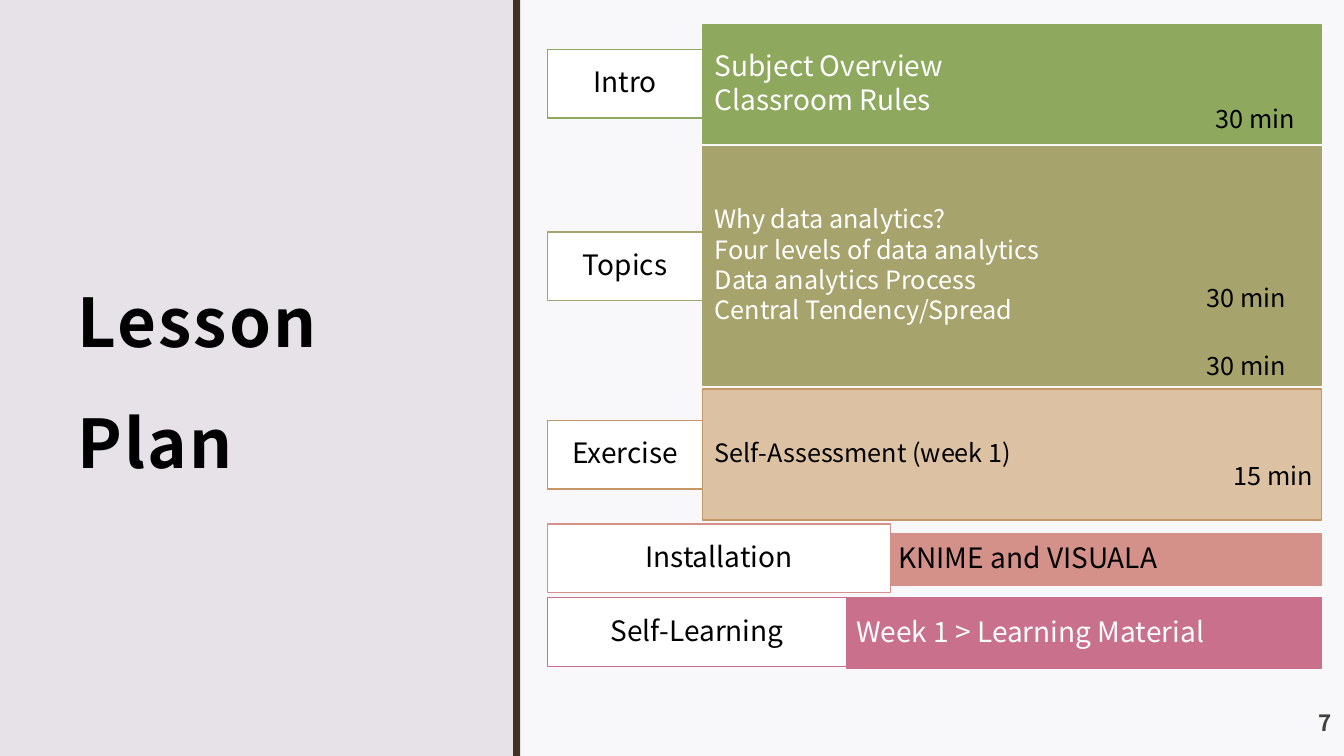
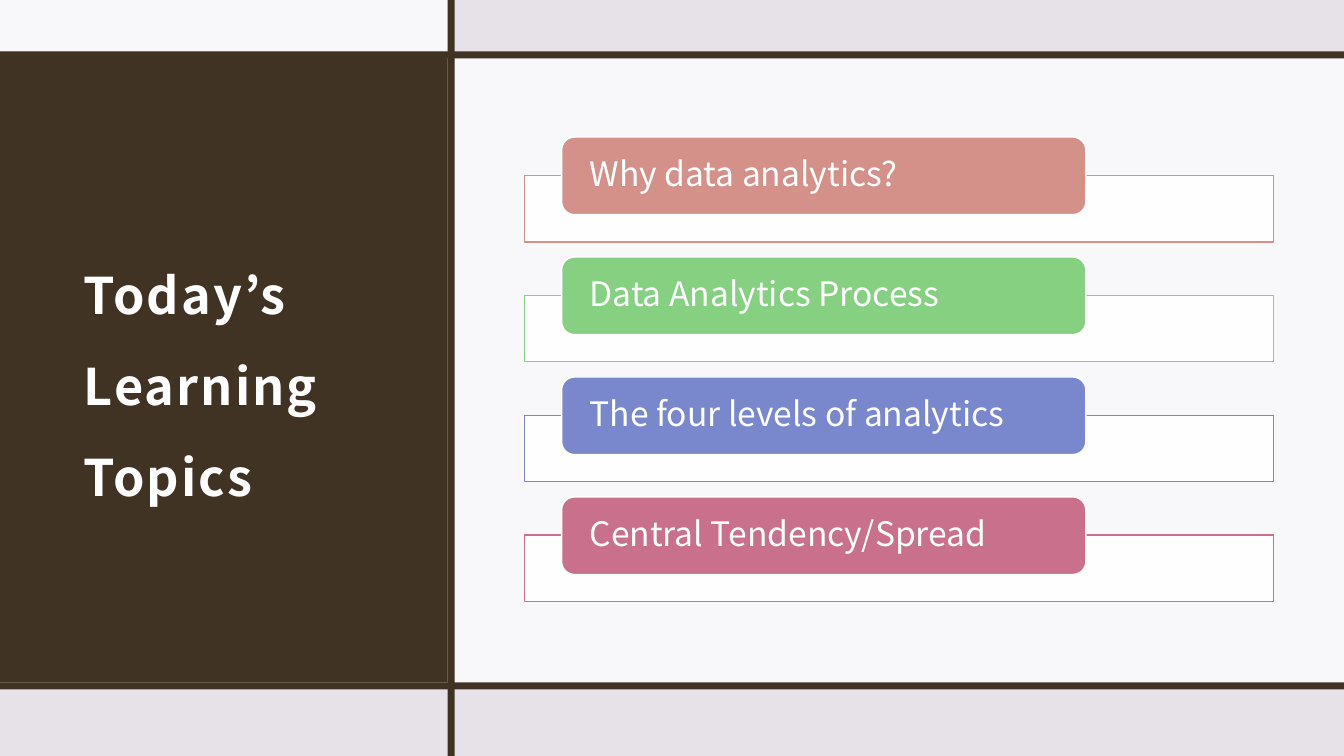
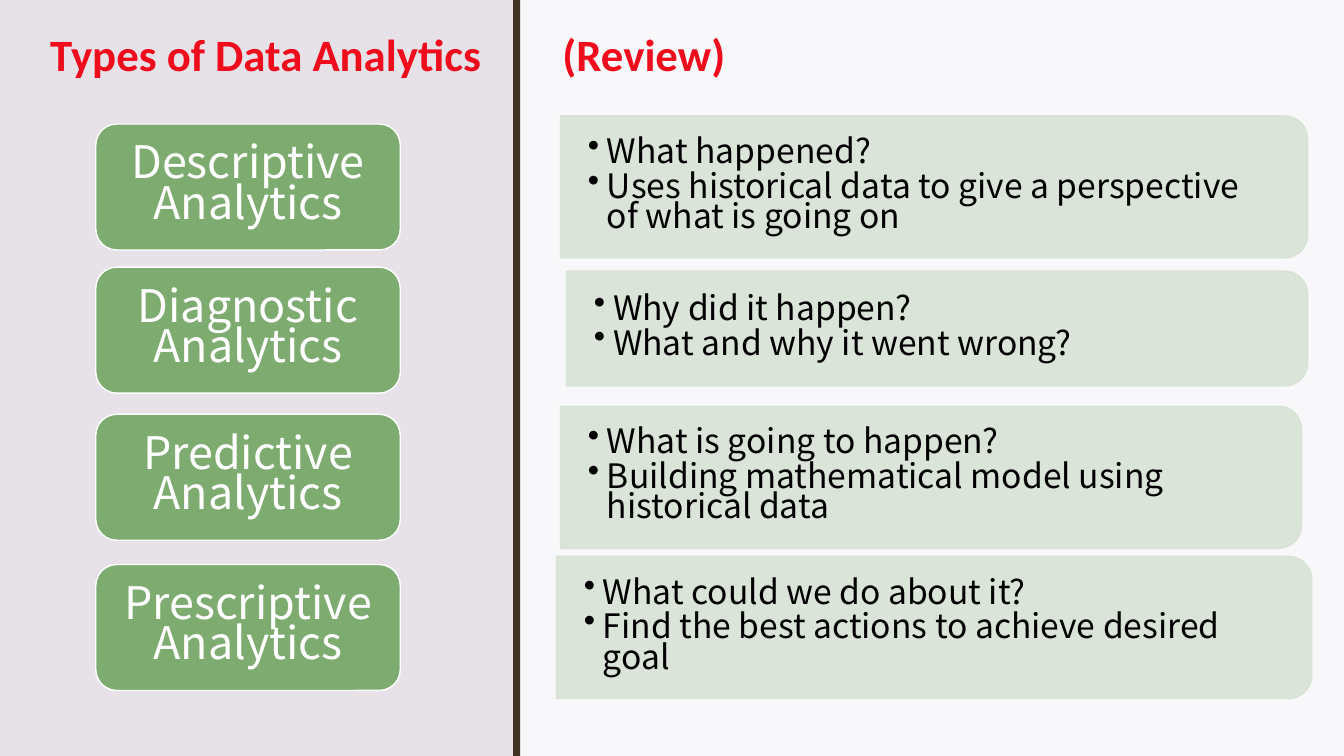
import math
from dataclasses import dataclass

import pptx
import pptx.dml.color
import pptx.enum.shapes
import pptx.enum.text
import pptx.oxml.ns
import pptx.util
from lxml import etree

Inches = pptx.util.Inches
Pt = pptx.util.Pt
Preset = pptx.enum.shapes.MSO_SHAPE
Align = pptx.enum.text.PP_ALIGN
Anchor = pptx.enum.text.MSO_ANCHOR
qn = pptx.oxml.ns.qn


@dataclass(frozen=True)
class Theme:
    """Colours, fonts and type sizes of the deck."""

    font: str = "Noto Sans CJK JP"
    heading_font: str = "Calibri"
    backdrop: str = "E7E2E8"
    brown: str = "413324"
    white: str = "FFFFFF"
    black: str = "000000"
    gray: str = "404040"
    red: str = "EF0C1D"
    green: str = "8EA95E"
    olive: str = "A7A36D"
    tan: str = "C59766"
    pale_tan: str = "DCC1A3"
    salmon: str = "D3918A"
    rose: str = "C9708C"
    mint: str = "85D081"
    blue: str = "7988CC"
    leaf: str = "7EAC70"
    pale_leaf: str = "D8E3D5"
    display: int = 48
    title: int = 36
    heading: int = 32
    large: int = 24
    body: int = 20
    small: int = 18
    page: int = 16


class Deck:
    """Draws styled elements on the current slide."""

    def __init__(self, theme):
        """Create an empty widescreen presentation."""
        self.theme = theme
        self.presentation = pptx.Presentation()
        self.presentation.slide_width = Inches(13.33)
        self.presentation.slide_height = Inches(7.5)
        self.slide = None

    def new_slide(self, split=True):
        """Add a slide, with the two-part backdrop if split is set."""
        self.slide = self.presentation.slides.add_slide(self.presentation.slide_layouts[6])
        fill = self.slide.background.fill
        fill.solid()
        fill.fore_color.rgb = pptx.dml.color.RGBColor.from_string(self.theme.backdrop)
        if split:
            self.box((5.16, 0, 8.17, 7.5), self.theme.white, alpha=75)
            self.box((5.09, 0, 0.07, 7.5), self.theme.brown)

    def paint(self, shape, fill, line=None, alpha=100):
        """Set fill, outline and opacity of a shape."""
        shape.shadow.inherit = False
        shape.fill.solid()
        shape.fill.fore_color.rgb = pptx.dml.color.RGBColor.from_string(fill)
        if alpha < 100:
            color = shape.element.spPr.find(qn("a:solidFill"))[0]
            etree.SubElement(color, qn("a:alpha"), val=str(alpha * 1000))
        if line:
            shape.line.color.rgb = pptx.dml.color.RGBColor.from_string(line)
            shape.line.width = Pt(1)
        else:
            shape.line.fill.background()
        return shape

    def box(self, area, fill, line=None, alpha=100, preset=Preset.RECTANGLE):
        """Draw a preset shape."""
        shape = self.slide.shapes.add_shape(preset, *map(Inches, area))
        return self.paint(shape, fill, line, alpha)

    def tab_box(self, area, fill, radius=0.23):
        """Draw a box whose right corners are rounded."""
        left, top, width, height = area
        right, bottom = left + width, top + height
        angles = [math.radians(step * 9) for step in range(11)]
        upper = [(right - radius + radius * math.sin(a), top + radius - radius * math.cos(a)) for a in angles]
        lower = [(x, top + bottom - y) for x, y in reversed(upper)]
        builder = self.slide.shapes.build_freeform(Inches(left), Inches(top))
        points = upper + lower + [(left, bottom)]
        builder.add_line_segments([(Inches(x), Inches(y)) for x, y in points], close=True)
        return self.paint(builder.convert_to_shape(), fill, fill, 90)

    def fill_text(self, shape, lines, size, color, insets=(0.1, 0.05, 0.1, 0.05), align=Align.LEFT,
                  anchor=Anchor.MIDDLE, spacing=0.9, after=0, bold=False, tracking=0,
                  font=None, bullet=False, tab=None):
        """Fill a shape with formatted paragraphs."""
        frame = shape.text_frame
        frame.word_wrap = True
        frame.vertical_anchor = anchor
        frame.margin_left, frame.margin_top, frame.margin_right, frame.margin_bottom = map(Inches, insets)
        frame.text = "\n".join(lines)
        for paragraph in frame.paragraphs:
            paragraph.alignment = align
            paragraph.line_spacing = spacing
            paragraph.space_after = Pt(after)
            properties = paragraph._p.get_or_add_pPr()
            if bullet:
                properties.set("marL", str(Inches(0.19)))
                properties.set("indent", str(-Inches(0.19)))
                etree.SubElement(properties, qn("a:buChar"), char="•")
            if tab:
                stops = etree.SubElement(properties, qn("a:tabLst"))
                etree.SubElement(stops, qn("a:tab"), pos=str(Inches(tab)), algn="l")
            for run in paragraph.runs:
                run.font.name = font or self.theme.font
                run.font.size = Pt(size)
                run.font.bold = bold
                run.font.color.rgb = pptx.dml.color.RGBColor.from_string(color)
                if tracking:
                    run._r.get_or_add_rPr().set("spc", str(int(tracking * 100)))

    def text(self, area, line, size, color, **style):
        """Add a text box with one paragraph."""
        shape = self.slide.shapes.add_textbox(*map(Inches, area))
        self.fill_text(shape, [line], size, color, **style)

    def title(self, area, line, size, color):
        """Add a widely spaced bold title."""
        self.text(area, line, size, color, insets=(0.12, 0.12, 0.12, 0.1),
                  spacing=1.5, bold=True, tracking=1.5)

    def plan_row(self, label_area, label, bar_area, lines, size, color, fill, line, inset):
        """Draw a plan bar and the label at its left."""
        bar = self.box(bar_area, fill, line)
        self.fill_text(bar, lines, size, color, insets=(inset, 0.17, inset, 0.17), after=size / 8)
        tag = self.box(label_area, self.theme.white, line)
        self.fill_text(tag, [label], self.theme.body, self.theme.black,
                       insets=(0.07, 0.07, 0.07, 0.07), align=Align.CENTER, after=2.5)

    def topic(self, top, label, color):
        """Draw a topic tab over its outlined strip."""
        self.box((5.2, top + 0.38, 7.43, 0.66), self.theme.white, color, 90)
        tab = self.box((5.57, top, 5.2, 0.77), color, self.theme.white, preset=Preset.ROUNDED_RECTANGLE)
        self.fill_text(tab, [label], self.theme.large, self.theme.white, insets=(0.24, 0, 0.24, 0), after=3)

    def analytics_type(self, top, name, detail_area, details):
        """Draw an analytics type and its bulleted explanation."""
        panel = self.tab_box(detail_area, self.theme.pale_leaf)
        self.fill_text(panel, details, self.theme.large, self.theme.black,
                       insets=(0.27, 0.18, 0.32, 0.18), spacing=0.75, after=3.2, bullet=True)
        card = self.box((0.95, top, 3.02, 1.25), self.theme.leaf, self.theme.white,
                        preset=Preset.ROUNDED_RECTANGLE)
        self.fill_text(card, [name], self.theme.heading, self.theme.white,
                       insets=(0.19, 0.13, 0.19, 0.13), align=Align.CENTER, spacing=0.75, after=4)


def lesson_plan(deck):
    """Build the lesson plan slide."""
    theme = deck.theme
    deck.new_slide()
    deck.title((0.65, 0.7, 4.16, 5.75), "Lesson Plan", theme.display, theme.black)
    topics = ["Why data analytics?", "Four levels of data analytics",
              "Data analytics Process", "Central Tendency/Spread"]
    rows = [
        ("Intro", 0.49, 1.54, 0.25, 1.17, ["Subject Overview", "Classroom Rules"],
         theme.body, theme.white, theme.green, theme.green, 0.12),
        ("Topics", 2.3, 1.54, 1.46, 2.36, topics,
         theme.small, theme.white, theme.olive, theme.olive, 0.12),
        ("Exercise", 4.17, 1.54, 3.86, 1.3, ["Self-Assessment (week 1)"],
         theme.small, theme.black, theme.pale_tan, theme.tan, 0.12),
        ("Installation", 5.2, 3.4, 5.29, 0.52, ["KNIME and VISUALA"],
         theme.body, theme.black, theme.salmon, theme.salmon, 0.08),
        ("Self-Learning", 5.93, 2.97, 5.93, 0.7, ["Week 1 > Learning Material"],
         theme.body, theme.white, theme.rose, theme.rose, 0.09),
    ]
    left, right = 5.43, 13.11
    for label, label_top, width, top, height, lines, *style in rows:
        bar_left = left + width
        deck.plan_row((left, label_top, width, 0.68), label,
                      (bar_left, top, right - bar_left, height), lines, *style)
    for x, y, duration in [(11.96, 0.98, "30 min"), (11.87, 2.75, "30 min"),
                           (12.14, 4.52, "15 min"), (11.87, 3.43, "30 min")]:
        deck.text((x, y, 1.64, 0.4), duration, theme.small, theme.black,
                  anchor=Anchor.TOP, spacing=1.0)
    deck.text((12.26, 6.9, 1.07, 0.5), "7", theme.page, theme.gray, insets=(0.12, 0.12, 0.12, 0.1),
              align=Align.RIGHT, anchor=Anchor.BOTTOM, spacing=1.0, bold=True, tracking=1.5)


def learning_topics(deck):
    """Build the learning topics slide."""
    theme = deck.theme
    deck.new_slide(split=False)
    deck.box((0, 0.51, 4.44, 6.26), theme.brown)
    deck.title((0.71, 1.31, 3.41, 4.71), "Today’s Learning Topics", theme.title, theme.white)
    deck.box((0, 0, 4.44, 0.55), theme.white, alpha=75)
    deck.box((4.51, 0.58, 8.82, 6.22), theme.white, alpha=75)
    for band in [(0, 6.77, 13.33, 0.07), (4.44, 0, 0.07, 7.5), (0, 0.51, 13.33, 0.07)]:
        deck.box(band, theme.brown)
    topics = [("Why data analytics?", theme.salmon), ("Data Analytics Process", theme.mint),
              ("The four levels of analytics", theme.blue), ("Central Tendency/Spread", theme.rose)]
    for index, (label, color) in enumerate(topics):
        deck.topic(1.36 + index * 1.19, label, color)


def analytics_types(deck):
    """Build the review slide on types of analytics."""
    theme = deck.theme
    deck.new_slide()
    deck.text((0.4, -0.09, 10, 1.25), "Types of Data Analytics\t(Review)", theme.heading, theme.red,
              spacing=1.0, bold=True, font=theme.heading_font, tab=5.08)
    kinds = [
        (1.23, "Descriptive Analytics", (5.56, 1.15, 7.41, 1.41),
         ["What happened?", "Uses historical data to give a perspective of what is going on"]),
        (2.65, "Diagnostic Analytics", (5.62, 2.69, 7.35, 1.14),
         ["Why did it happen?", "What and why it went wrong?"]),
        (4.11, "Predictive Analytics", (5.56, 4.03, 7.35, 1.41),
         ["What is going to happen?", "Building mathematical model using historical data"]),
        (5.6, "Prescriptive Analytics", (5.52, 5.52, 7.49, 1.41),
         ["What could we do about it?", "Find the best actions to achieve desired goal"]),
    ]
    for kind in kinds:
        deck.analytics_type(*kind)


def main():
    """Build and save the presentation."""
    deck = Deck(Theme())
    lesson_plan(deck)
    learning_topics(deck)
    analytics_types(deck)
    deck.presentation.save("out.pptx")


if __name__ == "__main__":
    main()
